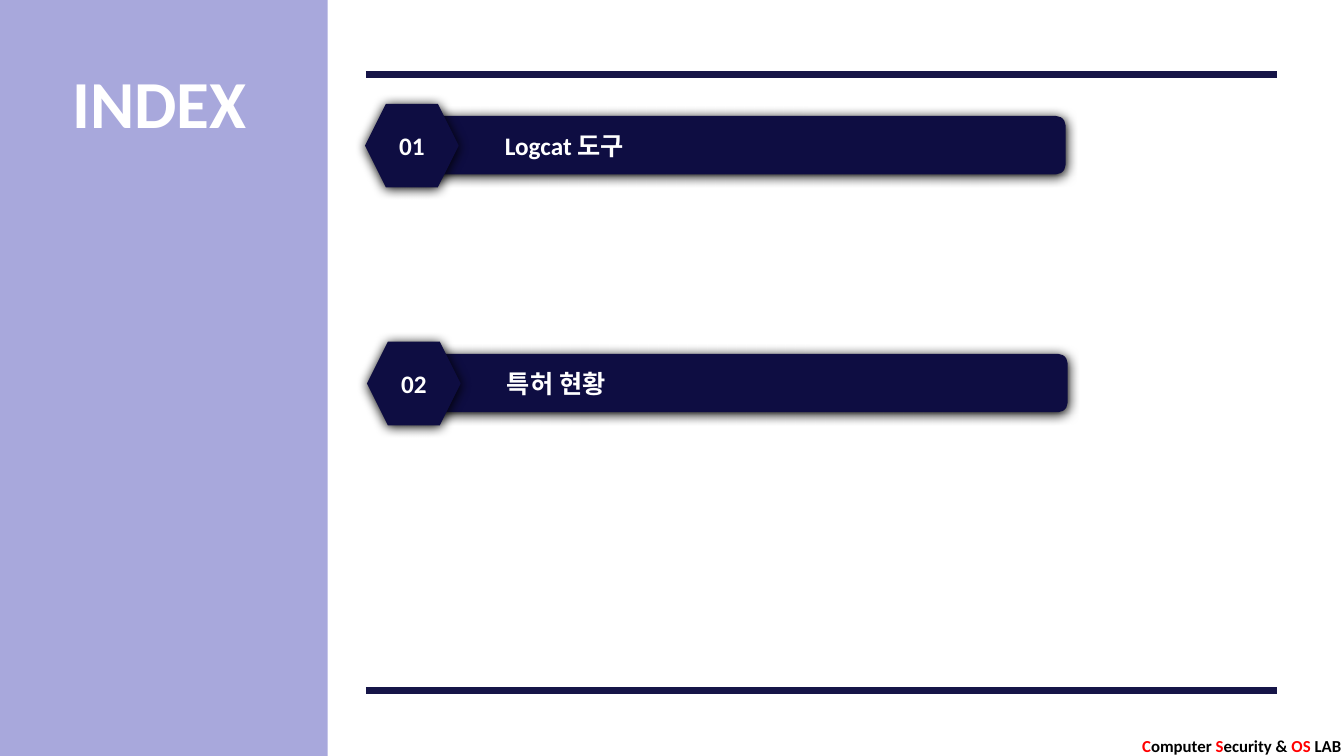
from lxml.etree import SubElement
from pptx import Presentation
from pptx.dml.color import RGBColor
from pptx.enum.shapes import MSO_CONNECTOR, MSO_SHAPE
from pptx.enum.text import MSO_AUTO_SIZE
from pptx.oxml import parse_xml
from pptx.oxml.ns import nsdecls, qn
from pptx.util import Inches, Pt

NAVY, LINE_NAVY, PANEL_BLUE = "0E0D42", "161548", "000099"
WHITE, BLACK, RED = "FFFFFF", "000000", "FF0000"
SHADOW = (
    f'<a:effectLst {nsdecls("a")}>'
    f'<a:outerShdw blurRad="{Pt(8.5)}" dist="{Pt(1)}" dir="5400000" algn="t" rotWithShape="0">'
    '<a:srgbClr val="000000"/></a:outerShdw></a:effectLst>'
)

presentation = Presentation()
presentation.slide_width = Inches(13.33)
presentation.slide_height = Inches(7.5)
slide = presentation.slides.add_slide(presentation.slide_layouts[6])


def add_block(kind, left, top, width, height, color):
    shape = slide.shapes.add_shape(kind, Inches(left), Inches(top), Inches(width), Inches(height))
    shape.shadow.inherit = False
    shape.fill.solid()
    shape.fill.fore_color.rgb = RGBColor.from_string(color)
    shape.line.fill.background()
    return shape


def add_label(left, top, width, height, size, runs):
    box = slide.shapes.add_textbox(Inches(left), Inches(top), Inches(width), Inches(height))
    box.text_frame.word_wrap = False
    box.text_frame.auto_size = MSO_AUTO_SIZE.SHAPE_TO_FIT_TEXT
    paragraph = box.text_frame.paragraphs[0]
    for text, color in runs:
        run = paragraph.add_run()
        run.text = text
        for name, value in {"name": "Calibri", "size": Pt(size), "bold": True}.items():
            setattr(run.font, name, value)
        run.font.color.rgb = RGBColor.from_string(color)


panel = add_block(MSO_SHAPE.RECTANGLE, 0, 0, 3.25, 7.5, PANEL_BLUE)
panel_color = panel.fill.fore_color._xFill.find(qn("a:srgbClr")) if hasattr(panel.fill.fore_color, "_xFill") else panel._element.spPr.find(qn("a:solidFill")).find(qn("a:srgbClr"))
SubElement(panel_color, qn("a:alpha"), val="34000")

add_label(11.23, 7.25, 2.2, 0.3, 12, [
    ("C", RED), ("omputer ", BLACK), ("S", RED),
    ("ecurity & ", BLACK), ("OS ", RED), ("LAB", BLACK),
])
add_label(0.62, 0.56, 1.95, 0.91, 48, [("INDEX", WHITE)])

for y in (0.74, 6.85):
    rule = slide.shapes.add_connector(
        MSO_CONNECTOR.STRAIGHT, Inches(3.63), Inches(y), Inches(12.67), Inches(y))
    rule.line.color.rgb = RGBColor.from_string(LINE_NAVY)
    rule.line.width = Pt(4.5)
    SubElement(rule._element.spPr, qn("a:effectLst"))

entries = [
    ("01", "Logcat 도구", 3.62, 1.03, 1.44),
    ("02", "특허 현황", 3.64, 3.39, 1.27),
]
for number, title, left, top, title_width in entries:
    bar = add_block(MSO_SHAPE.ROUNDED_RECTANGLE, left + 0.39, top + 0.12, 6.56, 0.58, NAVY)
    badge = add_block(MSO_SHAPE.HEXAGON, left, top, 0.93, 0.83, NAVY)
    for shape in (bar, badge):
        properties = shape._element.spPr
        properties.replace(properties.find(qn("a:effectLst")), parse_xml(SHADOW))
    add_label(left + 0.24, top + 0.21, 0.46, 0.4, 18, [(number, WHITE)])
    add_label(left + 1.29, top + 0.21, title_width, 0.4, 18, [(title, WHITE)])

presentation.save("out.pptx")
